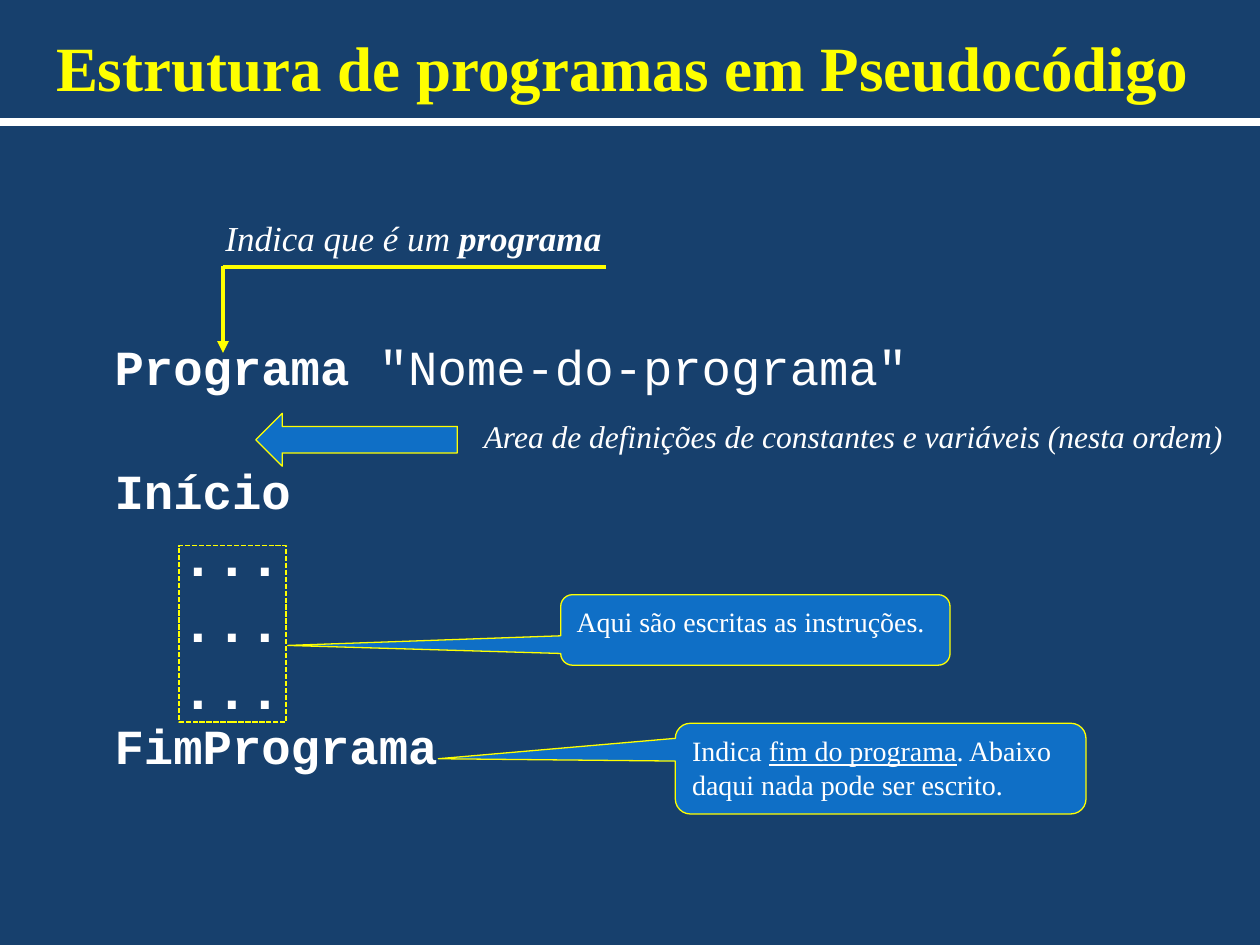
"""Build the slide on the structure of pseudocode programs."""
from lxml import etree
from pptx import Presentation
from pptx.dml.color import RGBColor
from pptx.enum.dml import MSO_LINE
from pptx.enum.shapes import MSO_CONNECTOR, MSO_SHAPE
from pptx.enum.text import MSO_ANCHOR, MSO_AUTO_SIZE, PP_ALIGN
from pptx.oxml.ns import qn
from pptx.util import Inches, Pt

STRAIGHT = MSO_CONNECTOR.STRAIGHT
LEFT_ARROW, RECTANGLE = MSO_SHAPE.LEFT_ARROW, MSO_SHAPE.RECTANGLE
CALLOUT = MSO_SHAPE.ROUNDED_RECTANGULAR_CALLOUT
DASH = MSO_LINE.SQUARE_DOT
TOP, MIDDLE = MSO_ANCHOR.TOP, MSO_ANCHOR.MIDDLE
LEFT, CENTER = PP_ALIGN.LEFT, PP_ALIGN.CENTER
NO_FIT = MSO_AUTO_SIZE.NONE

COLORS = {"background": "17406D", "accent": "FFFF00", "text": "FFFFFF", "fill": "0F6FC6"}
SERIF, MONO = "Times New Roman", "Courier New"

TITLE = "Estrutura de programas em Pseudocódigo"
PROGRAM = [
    ([("Programa", "b"), (' "Nome-do-programa"', "")], MONO, 28, 0, 0),
    ([("Area de definições de constantes e variáveis (nesta ordem)", "i")], SERIF, 18, 2.93, 15.1),
    ([("Início", "b")], MONO, 28, 0, 6.6),
    ([("...", "b")], MONO, 32, 0.53, 4.3),
    ([("...", "b")], MONO, 32, 0.53, 3.5),
    ([("...", "b")], MONO, 32, 0.53, 3.5),
    ([("FimPrograma", "b")], MONO, 28, 0, 0.6),
]
PROGRAM_NOTE = [("Indica que é um ", "i"), ("programa", "bi")]
CALLOUTS = [
    ((5.36, 5.74, 3.26, 0.72), (-1.077, -0.109, 0.167),
     [("Indica ", ""), ("fim do programa", "u"), (". Abaixo daqui nada pode ser escrito.", "")]),
    ((4.45, 4.72, 3.09, 0.56), (-1.201, 0.22, 0.167),
     [("Aqui são escritas as instruções.", "")]),
]
RULES = [
    ((0, 0.97), (10, 0.97), "text", 4.5, False),
    ((1.77, 2.12), (4.81, 2.12), "accent", 2.25, False),
    ((1.77, 2.11), (1.77, 2.8), "accent", 2.25, True),
]


def color(name):
    return RGBColor.from_string(COLORS[name])


def place(shape, box):
    shape.left, shape.top, shape.width, shape.height = map(Inches, box)


def add_runs(paragraph, runs, font, size, color_name="text"):
    for text, styles in runs:
        run = paragraph.add_run()
        run.text = text
        run.font.name, run.font.size = font, Pt(size)
        run.font.color.rgb = color(color_name)
        run.font.bold, run.font.italic, run.font.underline = (style in styles for style in "biu")


def add_rule(slide, start, end, color_name, width, arrow):
    rule = slide.shapes.add_connector(STRAIGHT, *map(Inches, start + end))
    rule.line.color.rgb, rule.line.width = color(color_name), Pt(width)
    if arrow:
        etree.SubElement(rule.line._get_or_add_ln(), qn("a:tailEnd"), type="triangle")
    etree.SubElement(rule._element.spPr, qn("a:effectLst"))


def add_outlined(slide, kind, box, adjustments=(), filled=True, width=0.75):
    shape = slide.shapes.add_shape(kind, *map(Inches, box))
    shape.shadow.inherit = False
    for index, value in enumerate(adjustments):
        shape.adjustments[index] = value
    if filled:
        shape.fill.solid()
        shape.fill.fore_color.rgb = color("fill")
    else:
        shape.fill.background()
    shape.line.color.rgb, shape.line.width = color("accent"), Pt(width)
    return shape


def fill_program(body):
    place(body, (0.81, 2.61, 9.1, 3.67))
    frame = body.text_frame
    frame.auto_size, frame.vertical_anchor = NO_FIT, TOP
    frame.margin_top = Inches(0.06)
    for index, (runs, font, size, indent, before) in enumerate(PROGRAM):
        paragraph = frame.add_paragraph() if index else frame.paragraphs[0]
        properties = paragraph._p.get_or_add_pPr()
        properties.set("marL", str(Inches(indent)))
        properties.set("indent", "0")
        etree.SubElement(properties, qn("a:buNone"))
        paragraph.space_before = Pt(before)
        paragraph.line_spacing = 0.9 if index else 1.0
        add_runs(paragraph, runs, font, size)


def main():
    presentation = Presentation()
    presentation.slide_width, presentation.slide_height = Inches(10), Inches(7.5)
    slide = presentation.slides.add_slide(presentation.slide_layouts[1])
    slide.background.fill.solid()
    slide.background.fill.fore_color.rgb = color("background")

    title = slide.shapes.title
    place(title, (-0.05, 0.17, 10.11, 0.78))
    title.text_frame.auto_size, title.text_frame.vertical_anchor = NO_FIT, MIDDLE
    title.text_frame.margin_right, title.text_frame.margin_bottom = Inches(0.23), Inches(0.11)
    heading = title.text_frame.paragraphs[0]
    heading.alignment = CENTER
    add_runs(heading, [(TITLE, "b")], SERIF, 36, "accent")
    fill_program(slide.placeholders[1])

    note = slide.shapes.add_textbox(*map(Inches, (1.69, 1.67, 3.21, 0.44)))
    note.text_frame.word_wrap = False
    add_runs(note.text_frame.paragraphs[0], PROGRAM_NOTE, SERIF, 20)

    for rule in RULES:
        add_rule(slide, *rule)
    add_outlined(slide, LEFT_ARROW, (2.03, 3.28, 1.6, 0.42), (0.5, 0.5))
    for box, adjustments, runs in CALLOUTS:
        callout = add_outlined(slide, CALLOUT, box, adjustments)
        callout.text_frame.word_wrap = True
        callout.text_frame.vertical_anchor = TOP
        paragraph = callout.text_frame.paragraphs[0]
        paragraph.alignment = LEFT
        add_runs(paragraph, runs, SERIF, 16)
    frame = add_outlined(slide, RECTANGLE, (1.42, 4.33, 0.85, 1.4), filled=False, width=1)
    frame.line.dash_style = DASH

    presentation.save("out.pptx")


if __name__ == "__main__":
    main()
